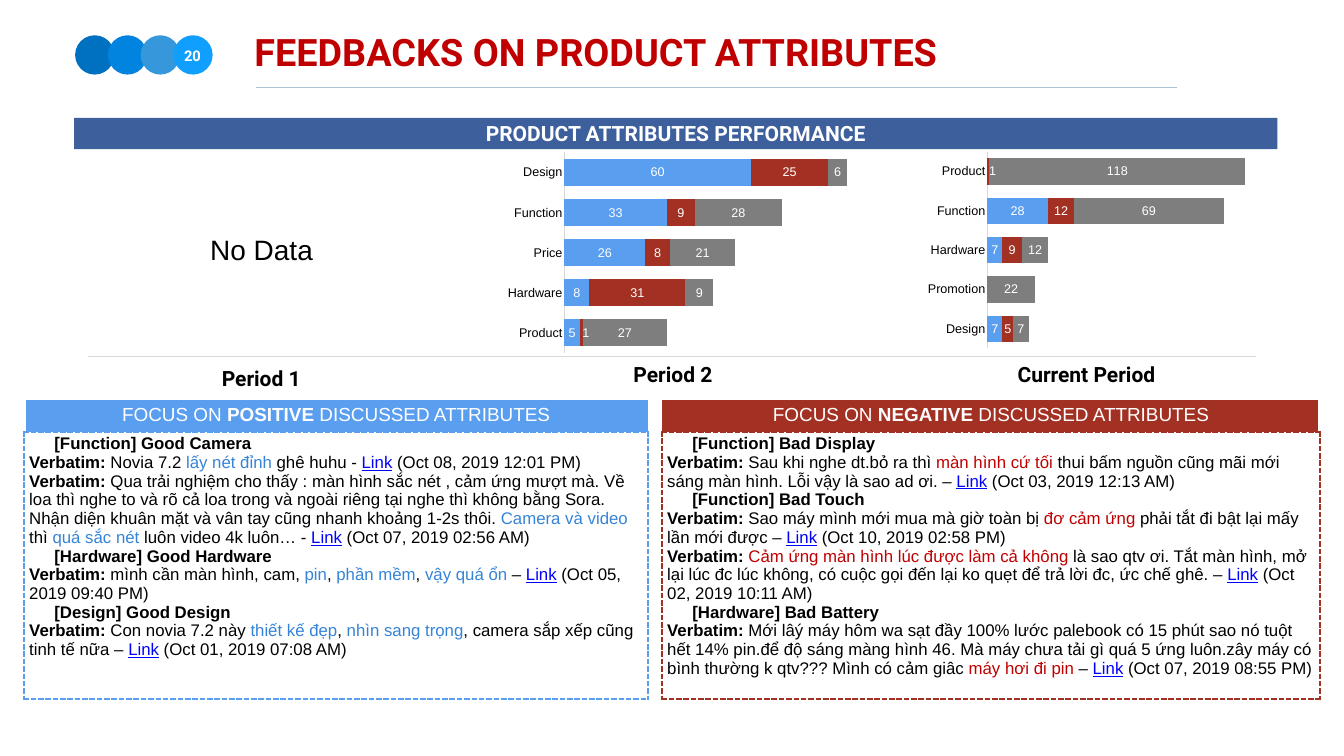
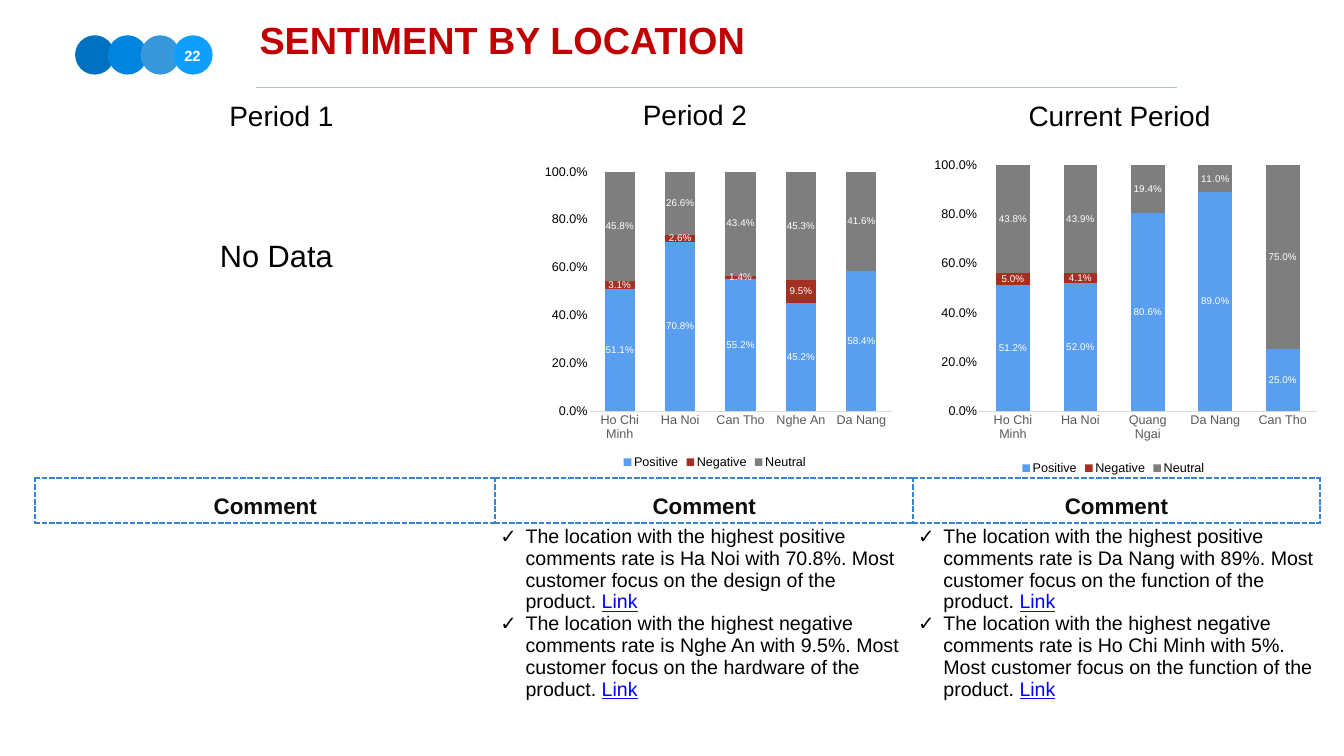
from lxml import etree
from pptx import Presentation
from pptx.chart.data import CategoryChartData
from pptx.dml.color import RGBColor
from pptx.enum.chart import XL_CHART_TYPE as Kind
from pptx.enum.chart import XL_LABEL_POSITION as Spot
from pptx.enum.chart import XL_LEGEND_POSITION as Side
from pptx.enum.chart import XL_TICK_MARK as Tick
from pptx.enum.shapes import MSO_CONNECTOR, MSO_SHAPE
from pptx.enum.text import MSO_ANCHOR as Anchor
from pptx.enum.text import MSO_AUTO_SIZE as Fit
from pptx.enum.text import PP_ALIGN as Align
from pptx.oxml import parse_xml
from pptx.oxml.ns import nsdecls, qn
from pptx.util import Inches, Pt

WHITE = RGBColor(0xFF, 0xFF, 0xFF)
BLACK = RGBColor(0x00, 0x00, 0x00)
INK = RGBColor(0x0D, 0x0D, 0x0D)
RED = RGBColor(0xC0, 0x00, 0x00)
BLUE = RGBColor(0x36, 0x84, 0xD7)
LINK = RGBColor(0x00, 0x00, 0xFF)
BAND = RGBColor(0x3D, 0x60, 0x9C)
RULE = RGBColor(0xAC, 0xC0, 0xD4)
PALE = RGBColor(0xD9, 0xD9, 0xD9)
DIM = RGBColor(0x59, 0x59, 0x59)
POS = RGBColor(0x5A, 0x9E, 0xF0)
NEG = RGBColor(0xA3, 0x31, 0x23)
NEUT = RGBColor(0x7F, 0x7E, 0x7E)
DOTS = [RGBColor(0x00, 0x70, 0xC0), RGBColor(0x00, 0x84, 0xDF),
        RGBColor(0x36, 0x98, 0xDA), RGBColor(0x11, 0x9F, 0xFF)]
PAD = dict.fromkeys(
    ["margin_left", "margin_right", "margin_top", "margin_bottom"], Inches(0.06))


def add(par, text, size, color=BLACK, **fmt):
    """Append a formatted run to a paragraph."""
    run = par.add_run()
    run.text = text
    run.font.color.rgb = color
    for key, val in ({"name": "Arial", "size": Pt(size)} | fmt).items():
        setattr(run.font, key, val)


def edge(cell, **sides):
    """Border a cell; white sides are solid, others dashed, absent ones empty."""
    props = cell._tc.get_or_add_tcPr()
    for side in "LRTB":
        color = sides.get(side)
        if color is None:
            line = f'<a:ln{side} {nsdecls("a")} w="0"><a:noFill/></a:ln{side}>'
        else:
            wide, dash = (6, "solid") if color == WHITE else (3, "sysDash")
            line = (f'<a:ln{side} {nsdecls("a")} w="{Pt(wide)}"><a:solidFill>'
                    f'<a:srgbClr val="{color}"/></a:solidFill>'
                    f'<a:prstDash val="{dash}"/></a:ln{side}>')
        props.append(parse_xml(line))


prs = Presentation()
prs.slide_width, prs.slide_height = Inches(26.67), Inches(15)

# Title, dots and rule on both slides
slides = []
for title, font, left, top in [
        ("FEEDBACKS ON PRODUCT ATTRIBUTES", "Roboto", 4.99, 0.5),
        ("SENTIMENT BY LOCATION", "Arial", 5.09, 0.27)]:
    slide = prs.slides.add_slide(prs.slide_layouts[5])
    slides.append(slide)
    for i, color in enumerate(DOTS):
        dot = slide.shapes.add_shape(
            MSO_SHAPE.OVAL, Inches(1.49 + 0.65 * i), Inches(0.7),
            Inches(0.78), Inches(0.78))
        dot.shadow.inherit = False
        dot.fill.solid()
        dot.fill.fore_color.rgb = color
        dot.line.fill.background()
    head = slide.shapes.title
    head.left, head.top = Inches(left), Inches(top)
    head.width, head.height = Inches(20.13), Inches(1.24)
    frame = head.text_frame
    for key, val in (PAD | {"auto_size": Fit.NONE, "word_wrap": True,
                            "vertical_anchor": Anchor.TOP}).items():
        setattr(frame, key, val)
    frame.paragraphs[0].alignment = Align.LEFT
    add(frame.paragraphs[0], title, 54, RED, bold=True, name=font)
first, second = slides

for slide, x1, x2, y, color in [
        (first, 5.09, 23.36, 1.74, RULE),
        (second, 5.09, 23.36, 1.74, RULE),
        (first, 1.75, 24.92, 7.07, PALE)]:
    rule = slide.shapes.add_connector(
        MSO_CONNECTOR.STRAIGHT, Inches(x1), Inches(y), Inches(x2), Inches(y))
    rule.line.color.rgb = color
    rule.line.width = Pt(2)
    etree.SubElement(rule._element.spPr, qn("a:effectLst"))

# Band across the first slide
band = first.shapes.add_shape(
    MSO_SHAPE.RECTANGLE, Inches(1.47), Inches(2.34), Inches(23.88), Inches(0.62))
band.shadow.inherit = False
band.fill.solid()
band.fill.fore_color.rgb = BAND
band.line.fill.background()
for key, val in (PAD | {"vertical_anchor": Anchor.MIDDLE}).items():
    setattr(band.text_frame, key, val)
par = band.text_frame.paragraphs[0]
par.alignment = Align.CENTER
add(par, "PRODUCT ATTRIBUTES PERFORMANCE", 30, WHITE, bold=True, name="Roboto")

# Quotes on the first slide: "|" switches the accent colour on and off
good = [
    ("[Function] Good Camera", [
        ("Novia 7.2 |lấy nét đỉnh |ghê huhu - ", "Oct 08, 2019 12:01 PM"),
        ("Qua trải nghiệm cho thấy : màn hình sắc nét , cảm ứng mượt mà. Về loa "
         "thì nghe to và rõ cả loa trong và ngoài riêng tại nghe thì không bằng "
         "Sora. Nhận diện khuân mặt và vân tay cũng nhanh khoảng 1-2s thôi. "
         "|Camera và video |thì |quá sắc nét| luôn video 4k luôn… - ",
         "Oct 07, 2019 02:56 AM")]),
    ("[Hardware] Good Hardware", [
        ("mình cần màn hình, cam, |pin|, |phần mềm|, |vậy quá ổn |– ",
         "Oct 05, 2019 09:40 PM")]),
    ("[Design] Good Design", [
        ("Con novia 7.2 này |thiết kế đẹp|, |nhìn sang trọng|, camera sắp xếp "
         "cũng tinh tế nữa – ", "Oct 01, 2019 07:08 AM")]),
]
bad = [
    ("[Function] Bad Display", [
        ("Sau khi nghe dt.bỏ ra thì |màn hình cứ tối |thui bấm nguồn cũng mãi "
         "mới sáng màn hình. Lỗi vậy là sao ad ơi. – ",
         "Oct 03, 2019 12:13 AM")]),
    ("[Function] Bad Touch", [
        ("Sao máy mình mới mua mà giờ toàn bị |đơ cảm ứng |phải tắt đi bật lại "
         "mấy lần mới được – ", "Oct 10, 2019 02:58 PM"),
        ("|Cảm ứng màn hình lúc được làm cả không |là sao qtv ơi. Tắt màn hình, "
         "mở lại lúc đc lúc không, có cuộc gọi đến lại ko quẹt để trả lời đc, "
         "ức chế ghê. – ", "Oct 02, 2019 10:11 AM")]),
    ("[Hardware] Bad Battery", [
        ("Mới lâý máy hôm wa sạt đầy 100% lước palebook có 15 phút sao nó tuột "
         "hết 14% pin.để độ sáng màng hình 46. Mà máy chưa tải gì quá 5 ứng "
         "luôn.zây máy có bình thường k qtv??? Mình có cảm giâc "
         "|máy hơi đi pin |– ", "Oct 07, 2019 08:55 PM")]),
]
grid = first.shapes.add_table(
    2, 3, Inches(0.48), Inches(7.9), Inches(25.71), Inches(5.97)).table
grid.first_row = grid.horz_banding = False
for col, width in zip(grid.columns, [12.38, 0.28, 13.05]):
    col.width = Inches(width)
grid.rows[0].height, grid.rows[1].height = Inches(0.67), Inches(5.3)
edge(grid.cell(0, 1))
edge(grid.cell(1, 1), L=POS, R=NEG)
for row in range(2):
    grid.cell(row, 1).fill.background()
for col, word, color, accent, topics in [
        (0, "POSITIVE", POS, BLUE, good), (2, "NEGATIVE", NEG, RED, bad)]:
    top, body = grid.cell(0, col), grid.cell(1, col)
    edge(top, T=WHITE, B=color, **{"R" if col else "L": WHITE})
    edge(body, L=color, R=color, T=color, B=color)
    top.fill.solid()
    top.fill.fore_color.rgb = color
    body.fill.background()
    top.vertical_anchor = Anchor.MIDDLE
    par = top.text_frame.paragraphs[0]
    par.alignment = Align.CENTER
    add(par, "FOCUS ON ", 27, WHITE)
    add(par, word, 27, WHITE, bold=True)
    add(par, " DISCUSSED ATTRIBUTES", 27, WHITE)
    par = body.text_frame.paragraphs[0]
    for topic, quotes in topics:
        if par.runs:
            par = body.text_frame.add_paragraph()
        par._p.get_or_add_pPr().set("marL", str(Inches(0.5)))
        add(par, topic, 24, bold=True)
        for quote, date in quotes:
            par = body.text_frame.add_paragraph()
            add(par, "Verbatim: ", 24, bold=True)
            for i, part in enumerate(quote.split("|")):
                if part:
                    add(par, part, 24, accent if i % 2 else BLACK)
            add(par, "Link", 24, LINK, underline=True)
            add(par, f" ({date})", 24)

# Comment tables on the second slide
for left, width, notes in [
        (0.7, 9.13, []),
        (9.83, 8.29, [("positive", "Ha Noi", "70.8%", "design"),
                      ("negative", "Nghe An", "9.5%", "hardware")]),
        (18.12, 8.07, [("positive", "Da Nang", "89%", "function"),
                       ("negative", "Ho Chi Minh", "5%", "function")])]:
    grid = second.shapes.add_table(
        2, 1, Inches(left), Inches(9.48), Inches(width), Inches(4.6)).table
    grid.first_row = grid.horz_banding = False
    grid.rows[0].height, grid.rows[1].height = Inches(0.9), Inches(3.7)
    top, body = grid.cell(0, 0), grid.cell(1, 0)
    edge(top, L=BLUE, R=BLUE, T=BLUE, B=BLUE)
    edge(body, T=BLUE)
    top.fill.solid()
    top.fill.fore_color.rgb = WHITE
    body.fill.background()
    top.vertical_anchor = Anchor.MIDDLE
    par = top.text_frame.paragraphs[0]
    par.alignment, par.line_spacing = Align.CENTER, 1.5
    add(par, "Comment", 32, INK, bold=True)
    par = body.text_frame.paragraphs[0]
    for mood, place, rate, focus in notes:
        if par.runs:
            par = body.text_frame.add_paragraph()
        props = par._p.get_or_add_pPr()
        props.set("marL", str(Inches(0.5)))
        props.set("indent", str(Inches(-0.5)))
        etree.SubElement(props, qn("a:buFont")).set("typeface", "Arial")
        etree.SubElement(props, qn("a:buChar")).set("char", "✓")
        add(par, f"The location with the highest {mood} comments rate is {place} "
                 f"with {rate}. Most customer focus on the {focus} of the "
                 "product. ", 28)
        add(par, "Link", 28, LINK, underline=True)

# Stacked charts: two of bars, two of percentage columns
bars = ["Series 1", "Series 2", "Series 3"]
moods = ["Positive", "Negative", "Neutral"]
for slide, box, plot, most, cats, rows in [
        (first, (9.03, 3.02, 8.68, 4.19), (0.25, 0, 0.71, 0.95), 100,
         ["Product", "Hardware", "Price", "Function", "Design"],
         [(5, 8, 26, 33, 60), (1, 31, 8, 9, 25), (27, 9, 21, 28, 6)]),
        (first, (17.13, 2.97, 8.49, 4.11), (0.29, 0.01, 0.71, 0.95), 140,
         ["Design", "Promotion", "Hardware", "Function", "Product"],
         [(7, None, 7, 28, None), (5, None, 9, 12, 1), (7, 22, 12, 69, 118)]),
        (second, (10.53, 2.67, 7.31, 6.69), (0.16, 0.11, 0.82, 0.71), 1,
         ["Ho Chi Minh", "Ha Noi", "Can Tho", "Nghe An", "Da Nang"],
         [(0.511, 0.708, 0.552, 0.452, 0.584),
          (0.031, 0.026, 0.014, 0.095, None),
          (0.458, 0.266, 0.434, 0.453, 0.416)]),
        (second, (18.06, 3.14, 8.07, 6.34), (0.17, 0.02, 0.83, 0.77), 1,
         ["Ho Chi Minh", "Ha Noi", "Quang Ngai", "Da Nang", "Can Tho"],
         [(0.512, 0.52, 0.806, 0.89, 0.25), (0.05, 0.041, None, None, None),
          (0.438, 0.439, 0.194, 0.11, 0.75)])]:
    flat = slide is first
    code = "General" if flat else "0.0%"
    data = CategoryChartData(number_format=code)
    data.categories = cats
    for name, vals in zip(bars if flat else moods, rows):
        data.add_series(name, vals)
    chart = slide.shapes.add_chart(
        Kind.BAR_STACKED if flat else Kind.COLUMN_STACKED,
        *map(Inches, box), data).chart
    chart.has_title = False
    chart.font.name, chart.font.size = "Arial", Pt(18)
    chart.font.color.rgb = BLACK
    chart.has_legend = not flat
    if chart.has_legend:
        chart.legend.position = Side.BOTTOM
        chart.legend.include_in_layout = False
    cat, val = chart.category_axis, chart.value_axis
    cat.major_tick_mark = val.major_tick_mark = Tick.NONE
    cat.format.line.color.rgb = PALE
    cat.format.line.width = Pt(0.75)
    cat.tick_labels.font.size = Pt(18)
    cat.tick_labels.font.color.rgb = BLACK if flat else DIM
    val.has_major_gridlines = False
    val.minimum_scale, val.maximum_scale, val.major_unit = 0, most, most / 5
    val.visible = not flat
    val.format.line.fill.background()
    val.tick_labels.number_format = code
    val.tick_labels.number_format_is_linked = False
    stack = chart.plots[0]
    stack.gap_width, stack.overlap = 50 if flat else 100, 100
    stack.vary_by_categories = False
    for series, color in zip(stack.series, [POS, NEG, NEUT]):
        series.format.fill.solid()
        series.format.fill.fore_color.rgb = color
        tags = series.data_labels
        for key, mark in {"show_value": True, "position": Spot.CENTER,
                          "number_format": code,
                          "number_format_is_linked": False}.items():
            setattr(tags, key, mark)
        tags.font.name, tags.font.size = "Arial", Pt(18 if flat else 14)
        tags.font.color.rgb = WHITE
        if 1 in series.values:  # nudge the label off its sliver of a bar
            tag = series.points[series.values.index(1)].data_label
            tag.position = Spot.CENTER
            tag.font.name, tag.font.size = "Arial", Pt(18)
            tag.font.color.rgb = WHITE
            next(series._element.iter(qn("c:dLbl"))).insert(1, parse_xml(
                f'<c:layout {nsdecls("c")}><c:manualLayout><c:x val="0.01"/>'
                '<c:y val="0"/></c:manualLayout></c:layout>'))
    area = chart._chartSpace.chart.plotArea
    for old in area.findall(qn("c:layout")):
        area.remove(old)
    spots = "".join(f'<c:{k} val="{v}"/>' for k, v in zip("xywh", plot))
    area.insert(0, parse_xml(
        f'<c:layout {nsdecls("c")}><c:manualLayout><c:layoutTarget val="inner"/>'
        f'<c:xMode val="edge"/><c:yMode val="edge"/>{spots}'
        '</c:manualLayout></c:layout>'))

# Labels; bold ones stay on one line
strong = {"bold": True, "name": "Roboto"}
badge = (3.47, 0.86, 0.7, 0.47)
for slide, text, box, size, color, fmt in [
        (first, "20", badge, 21, WHITE, strong),
        (first, "Period 1", (4.2, 7.19, 1.97, 0.62), 30, BLACK, strong),
        (first, "Period 2", (12.37, 7.11, 1.97, 0.62), 30, BLACK, strong),
        (first, "Current Period", (19.93, 7.12, 3.26, 0.62), 30, BLACK, strong),
        (first, "No Data", (3.12, 4.56, 4.14, 0.79), 40, BLACK, {}),
        (second, "22", badge, 21, WHITE, {"bold": True}),
        (second, "Period 1", (4.13, 1.89, 2.91, 0.79), 40, BLACK, {}),
        (second, "Period 2", (12.54, 1.88, 2.5, 0.79), 40, BLACK, {}),
        (second, "Current Period", (20.2, 1.89, 4.03, 0.79), 40, BLACK, {}),
        (second, "No Data", (3.43, 4.64, 4.11, 0.85), 44, BLACK, {})]:
    frame = slide.shapes.add_textbox(*map(Inches, box)).text_frame
    for key, val in (PAD | {"word_wrap": "bold" not in fmt,
                            "auto_size": Fit.SHAPE_TO_FIT_TEXT,
                            "vertical_anchor": Anchor.MIDDLE}).items():
        setattr(frame, key, val)
    frame.paragraphs[0].alignment = Align.CENTER
    add(frame.paragraphs[0], text, size, color, **fmt)

prs.save("out.pptx")
